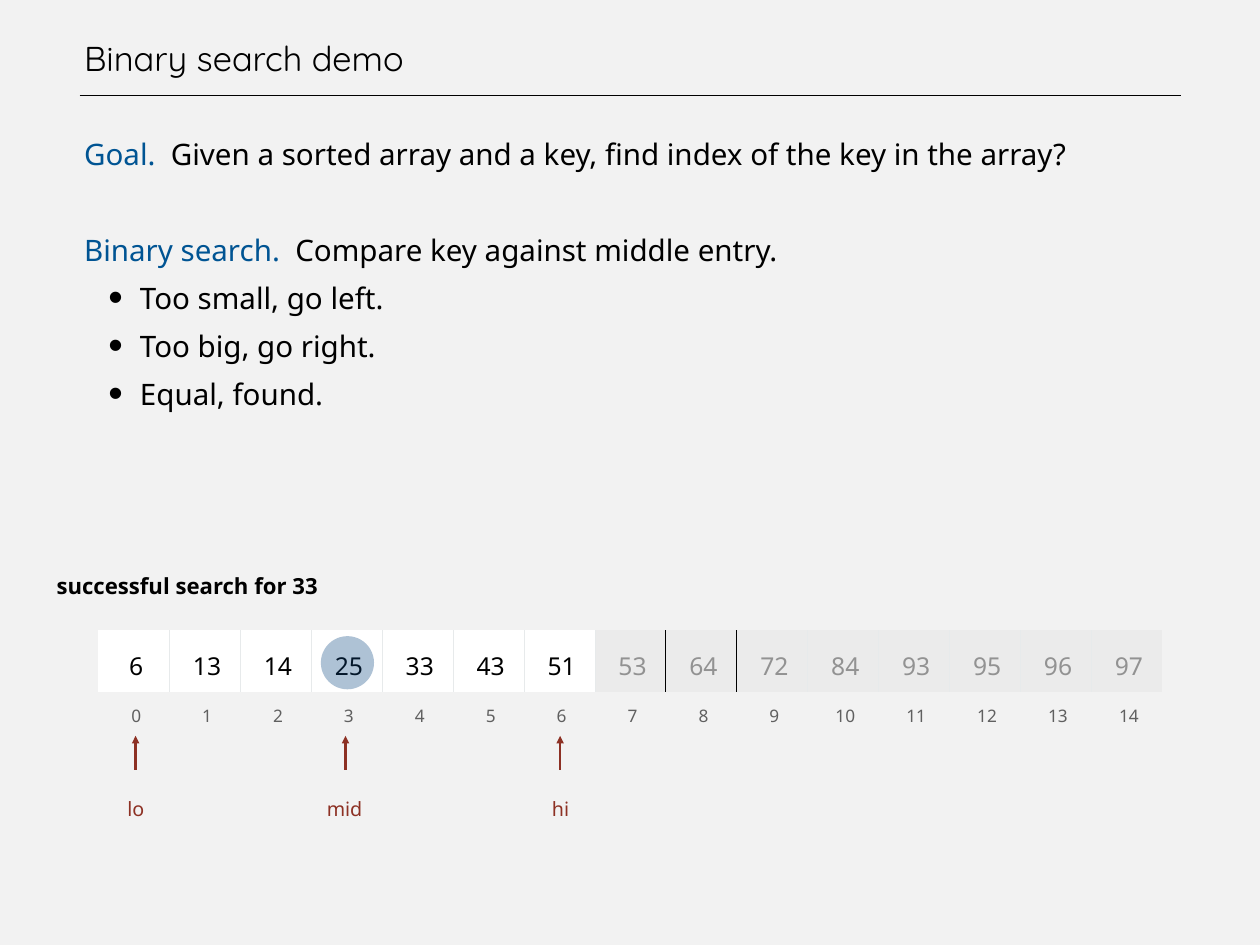
from lxml.etree import SubElement
from pptx import Presentation
from pptx.dml.color import RGBColor
from pptx.enum.shapes import MSO_CONNECTOR as Connector, MSO_SHAPE as Preset
from pptx.enum.text import MSO_ANCHOR as Anchor, MSO_AUTO_SIZE as AutoSize, PP_ALIGN as Align
from pptx.oxml.ns import qn
from pptx.util import Pt

BACKGROUND = RGBColor(0xF2, 0xF2, 0xF2)
BLACK = RGBColor(0x00, 0x00, 0x00)
WHITE = RGBColor(0xFF, 0xFF, 0xFF)
BLUE = RGBColor(0x00, 0x54, 0x93)
NAVY = RGBColor(0x0C, 0x46, 0x81)
RED = RGBColor(0x8D, 0x31, 0x24)
GRID = RGBColor(0xE7, 0xEA, 0xEB)
EXCLUDED_FILL = RGBColor(0xEB, 0xEB, 0xEB)
EXCLUDED_TEXT = RGBColor(0x92, 0x92, 0x92)
INDEX_TEXT = RGBColor(0x60, 0x60, 0x60)

BODY_FONT = "Noto Sans"
TITLE_FONT = "Quicksand"
VALUES = [6, 13, 14, 25, 33, 43, 51, 53, 64, 72, 84, 93, 95, 96, 97]
HIGH = 6
BLACK_EDGES = {8, 9}
CELL_WIDTH = 57.65
ROW_HEIGHTS = (50.6, 29.8)

FLUSH = {"margin_left": Pt(4.3), "margin_top": 0, "margin_right": 0,
         "margin_bottom": 0, "word_wrap": True}
LABEL = {"margin_left": Pt(8.6), "margin_top": Pt(4.3), "margin_right": 0,
         "margin_bottom": Pt(4.3), "word_wrap": False,
         "auto_size": AutoSize.SHAPE_TO_FIT_TEXT}
CELL = {"margin_left": Pt(8), "margin_top": Pt(3.6), "margin_right": Pt(4.3),
        "margin_bottom": Pt(3.6), "vertical_anchor": Anchor.MIDDLE}


def apply_format(target, values):
    """Set each named attribute of the target."""
    for name, value in values.items():
        setattr(target, name, value)


def add_run(paragraph, text, color, size, name=BODY_FONT, bold=False):
    """Append a formatted run to the paragraph."""
    run = paragraph.add_run()
    run.text = text
    apply_format(run.font, {"name": name, "size": Pt(size), "bold": bold})
    run.font.color.rgb = color


def add_frame(shapes, box, values):
    """Add a text box and return its formatted text frame."""
    frame = shapes.add_textbox(*map(Pt, box)).text_frame
    apply_format(frame, values)
    return frame


def add_line(shapes, ends, color, width, arrow=False):
    """Draw a straight line, with an optional arrowhead at its start."""
    connector = shapes.add_connector(Connector.STRAIGHT, *map(Pt, ends))
    connector.line.color.rgb = color
    connector.line.width = Pt(width)
    properties = connector._element.spPr
    if arrow:
        SubElement(properties.find(qn("a:ln")), qn("a:headEnd"), type="triangle")
    SubElement(properties, qn("a:effectLst"))


def add_title(slide, left, top, width, height):
    """Add the heading and the rule beneath it."""
    frame = add_frame(slide.shapes, (left, top, width, height),
                      {**FLUSH, "vertical_anchor": Anchor.BOTTOM})
    add_run(frame.paragraphs[0], "Binary search demo", BLACK, 28, TITLE_FONT)
    rule = top + height + 13.8
    add_line(slide.shapes, (left + 0.8, rule, left + width, rule), BLACK, 1)


def add_bullet(paragraph):
    """Give the paragraph a hanging bullet."""
    properties = paragraph._p.get_or_add_pPr()
    properties.set("marL", str(Pt(45.4)))
    properties.set("indent", str(-Pt(25.7)))
    color = SubElement(properties, qn("a:buClr"))
    SubElement(color, qn("a:srgbClr"), val=str(BLACK))
    SubElement(properties, qn("a:buSzPct"), val="140000")
    SubElement(properties, qn("a:buFont"), typeface="Arial")
    SubElement(properties, qn("a:buChar"), char="•")


def add_body(slide, *box):
    """Add the goal, the method and its three cases."""
    frame = add_frame(slide.shapes, box, FLUSH)
    lines = [
        ("Goal. ", " Given a sorted array and a key, find index of the key in the array?"),
        ("Binary search. ", " Compare key against middle entry."),
        ("", "Too small, go left."),
        ("", "Too big, go right."),
        ("", "Equal, found."),
    ]
    for number, (lead, text) in enumerate(lines):
        paragraph = frame.add_paragraph() if number else frame.paragraphs[0]
        paragraph.line_spacing = Pt(39)
        if number == 1:
            paragraph.space_before = Pt(39)
        if lead:
            add_run(paragraph, lead, BLUE, 24)
        else:
            add_bullet(paragraph)
        add_run(paragraph, text, BLACK, 24)


def add_borders(cell, edges):
    """Draw the given cell edges and clear the others."""
    properties = cell._tc.get_or_add_tcPr()
    for side in ("L", "R", "T", "B"):
        line = SubElement(properties, qn(f"a:ln{side}"), w=str(Pt(0.45)))
        if side in edges:
            fill = SubElement(line, qn("a:solidFill"))
            SubElement(fill, qn("a:srgbClr"), val=str(edges[side]))
        else:
            SubElement(line, qn("a:noFill"))


def fill_cell(cell, value, color, size, edges, fill=None):
    """Write one number with its borders and fill."""
    apply_format(cell, CELL)
    add_borders(cell, edges)
    if fill is None:
        cell.fill.background()
    else:
        cell.fill.solid()
        cell.fill.fore_color.rgb = fill
    paragraph = cell.text_frame.paragraphs[0]
    apply_format(paragraph, {"alignment": Align.CENTER, "line_spacing": 1.3})
    add_run(paragraph, str(value), color, size)


def add_array(slide, left, top, width, height):
    """Add the table of sorted values and their indices."""
    count = len(VALUES)
    table = slide.shapes.add_table(2, count, *map(Pt, (left, top, width, height))).table
    apply_format(table, {"first_row": False, "horz_banding": False})
    for row, row_height in zip(table.rows, ROW_HEIGHTS):
        row.height = Pt(row_height)
    for index, value in enumerate(VALUES):
        table.columns[index].width = Pt(width / count)
        edges = {side: BLACK if edge in BLACK_EDGES else GRID
                 for side, edge in (("L", index), ("R", index + 1)) if 0 < edge < count}
        active = index <= HIGH
        fill_cell(table.cell(0, index), value, BLACK if active else EXCLUDED_TEXT, 20,
                  edges, WHITE if active else EXCLUDED_FILL)
        fill_cell(table.cell(1, index), index, INDEX_TEXT, 14, {})


def add_label(shapes, box, text, color, size, bold=False):
    """Add a one-line label."""
    paragraph = add_frame(shapes, box, LABEL).paragraphs[0]
    paragraph.line_spacing = 1.5
    add_run(paragraph, text, color, size, bold=bold)


def add_pointer(shapes, text, arrow_offset, left, top, width, height):
    """Add a pointer name with an arrow above it."""
    add_label(shapes, (left, top, width, height), text, RED, 16)
    middle = left + arrow_offset
    add_line(shapes, (middle, top - 36, middle, top - 8.3), RED, 2, arrow=True)


def add_highlight(shapes, left, top, width, height):
    """Add the translucent disc over the middle entry."""
    disc = shapes.add_shape(Preset.OVAL, *map(Pt, (left, top, width, height)))
    disc.shadow.inherit = False
    disc.fill.solid()
    disc.fill.fore_color.rgb = NAVY
    disc.line.fill.background()
    color = disc._element.spPr.find(qn("a:solidFill")).find(qn("a:srgbClr"))
    SubElement(color, qn("a:alpha"), val="33000")


def main():
    """Build and save the slide."""
    presentation = Presentation()
    apply_format(presentation, {"slide_width": Pt(1024), "slide_height": Pt(768)})
    slide = presentation.slides.add_slide(presentation.slide_layouts[6])
    slide.background.fill.solid()
    slide.background.fill.fore_color.rgb = BACKGROUND
    add_title(slide, 64, 0, 896, 64)
    add_body(slide, 64, 100, 896, 640)
    add_array(slide, 80, 512, CELL_WIDTH * len(VALUES), sum(ROW_HEIGHTS))
    add_pointer(slide.shapes, "lo", 15.2, 95, 634, 26.6, 36.7)
    add_pointer(slide.shapes, "hi", 15.2, 440, 634, 26.6, 36.7)
    middle_group = slide.shapes.add_group_shape().shapes
    add_pointer(middle_group, "mid", 23.8, 257, 634, 41.8, 36.7)
    add_highlight(middle_group, 260.8, 517, 43.2, 43.2)
    add_label(slide.shapes, (37.4, 450, 225.4, 40.3), "successful search for 33",
              BLACK, 18, bold=True)
    presentation.save("out.pptx")


if __name__ == "__main__":
    main()
